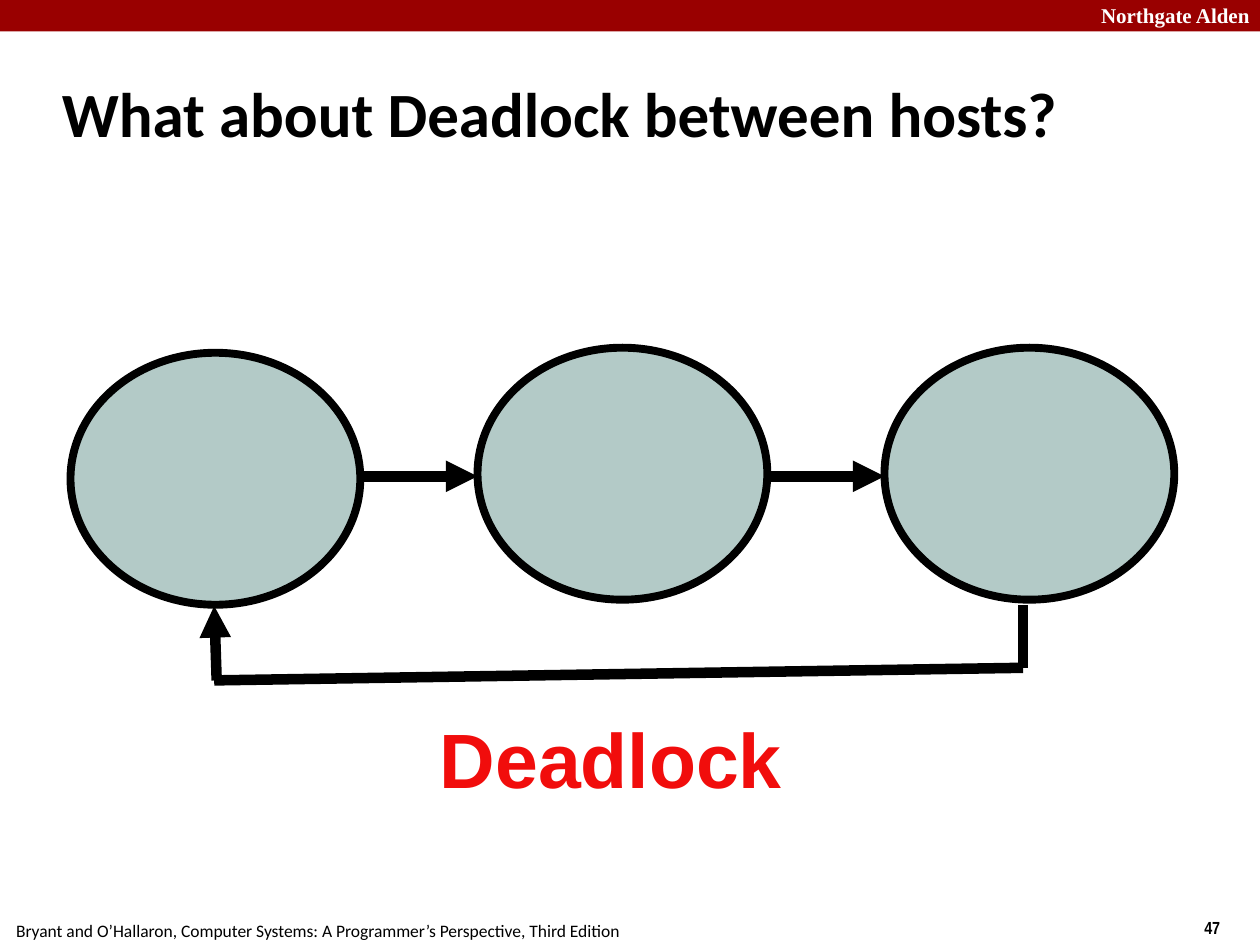
from lxml import etree
from pptx import Presentation
from pptx.dml.color import RGBColor
from pptx.enum import shapes, text
from pptx.oxml import ns
from pptx.util import Inches, Pt

BLACK = RGBColor(0x00, 0x00, 0x00)
WHITE = RGBColor(0xFF, 0xFF, 0xFF)
MAROON = RGBColor(0x99, 0x00, 0x00)
RED = RGBColor(0xF1, 0x0D, 0x0C)
SAGE = RGBColor(0xB3, 0xCA, 0xC7)

TITLE = "What about Deadlock between hosts?"
TITLE_BOX = (0.39, 0.48, 8.3, 0.83)
TITLE_FONT = dict(name="Calibri", size=Pt(36), bold=True)

LEFT, CENTER = text.PP_ALIGN.LEFT, text.PP_ALIGN.CENTER
# text, box, alignment, colour, font
LABELS = [
    ("Northgate Alden", (8.64, -0.03, 1.43, 0.3), LEFT, WHITE,
     dict(name="Times New Roman", size=Pt(12), bold=True)),
    ("47", (9.46, 7.23, 0.5, 0.27), LEFT, BLACK,
     dict(name="Arial Narrow", size=Pt(10), bold=True)),
    ("Bryant and O’Hallaron, Computer Systems: "
     "A Programmer’s Perspective, Third Edition",
     (0.03, 7.25, 5.2, 0.27), LEFT, BLACK,
     dict(name="Calibri", size=Pt(10), bold=False)),
    ("Deadlock", (2.8, 5.6, 4.1, 0.78), CENTER, RED,
     dict(name="Arial", size=Pt(44), bold=True)),
]

HOST_W, HOST_H = 2.3, 2
HOST_LEFT, HOST_PITCH = 0.56, 3.23
HOST_TOPS = [2.8, 2.76, 2.76]
LINK_Y = 3.78

# from, to, has an arrowhead
RETURN_PATH = [
    ((1.72, 5.4), (1.7, 4.81), True),
    ((1.7, 5.4), (8.12, 5.3), False),
    ((8.12, 4.8), (8.12, 5.3), False),
]


def inches(values):
    return [Inches(v) for v in values]


def write(tf, content, align, color, font):
    p = tf.paragraphs[0]
    p.alignment = align
    r = p.add_run()
    r.text = content
    for key, value in font.items():
        setattr(r.font, key, value)
    r.font.color.rgb = color


def add_solid(s, kind, box, fill):
    sp = s.shapes.add_shape(kind, *inches(box))
    sp.shadow.inherit = False
    sp.fill.solid()
    sp.fill.fore_color.rgb = fill
    sp.line.fill.background()
    return sp


def add_link(s, start, end, arrow):
    link = s.shapes.add_connector(
        shapes.MSO_CONNECTOR.STRAIGHT, *inches(start + end))
    link.line.color.rgb = BLACK
    link.line.width = Pt(6)
    if arrow:
        etree.SubElement(link.line._get_or_add_ln(), ns.qn("a:tailEnd"),
                         type="triangle")
    etree.SubElement(link._element.spPr, ns.qn("a:effectLst"))


def main():
    prs = Presentation()
    prs.slide_width, prs.slide_height = inches((10, 7.5))
    s = prs.slides.add_slide(prs.slide_layouts[5])

    title = s.shapes.title
    title.left, title.top, title.width, title.height = inches(TITLE_BOX)
    title.text_frame.vertical_anchor = text.MSO_ANCHOR.MIDDLE
    write(title.text_frame, TITLE, LEFT, BLACK, TITLE_FONT)

    add_solid(s, shapes.MSO_SHAPE.RECTANGLE, (0, 0, 10, 0.25), MAROON)

    for i, top in enumerate(HOST_TOPS):
        left = HOST_LEFT + i * HOST_PITCH
        host = add_solid(s, shapes.MSO_SHAPE.OVAL,
                         (left, top, HOST_W, HOST_H), SAGE)
        host.line.color.rgb = BLACK
        host.line.width = Pt(4.5)
        if i:
            gap_start = left - HOST_PITCH + HOST_W
            add_link(s, (gap_start, LINK_Y), (left, LINK_Y), True)

    for start, end, arrow in RETURN_PATH:
        add_link(s, start, end, arrow)

    for content, box, align, color, font in LABELS:
        tf = s.shapes.add_textbox(*inches(box)).text_frame
        tf.word_wrap = True
        write(tf, content, align, color, font)

    prs.save("out.pptx")


if __name__ == "__main__":
    main()
